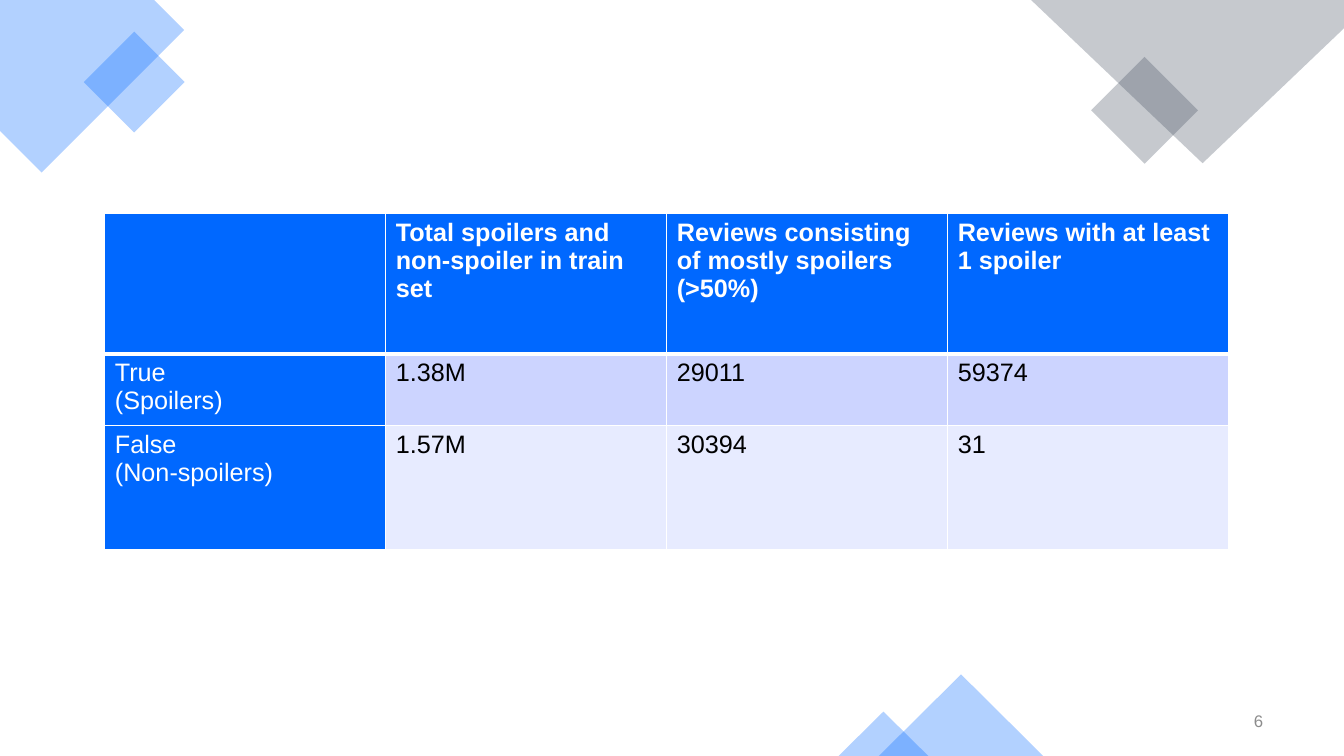
from lxml.etree import SubElement
from pptx import Presentation
from pptx.dml.color import RGBColor
from pptx.enum.shapes import MSO_SHAPE
from pptx.enum.text import MSO_ANCHOR, PP_ALIGN
from pptx.oxml.ns import qn
from pptx.util import Pt

BLUE, GREY, WHITE, BLACK = "0068FF", "434E5E", "FFFFFF", "000000"
FONT = "Arial"

ROWS = [
    ["", "Total spoilers and \nnon-spoiler in train set",
     "Reviews consisting of mostly spoilers (>50%)",
     "Reviews with at least 1 spoiler"],
    ["True\n(Spoilers)", "1.38M", "29011", "59374"],
    ["False\n(Non-spoilers)", "1.57M", "30394", "31"],
]
BANDS = [BLUE, "CCD4FF", "E7EBFF"]
HEIGHTS = [100.1, 51.1, 88.6]
LEFT, TOP, COL = 74.9, 152.6, 200.7

# Corner outlines: colour, points
CORNERS = [
    (BLUE, [(0, 0), (110, 0), (131.5, 21.5), (29.75, 123.25), (0, 93.5)]),
    (GREY, [(960, 0), (736.5, 0), (859, 116.6), (960, 20.2)]),
]
# Preset shapes: kind, colour, rotation, left, top, width, height
ACCENTS = [
    (MSO_SHAPE.RECTANGLE, BLUE, 315, 70.4, 33.1, 51, 51),
    (MSO_SHAPE.RECTANGLE, GREY, 315, 790.6, 51.8, 54, 54),
    (MSO_SHAPE.ISOSCELES_TRIANGLE, BLUE, 0, 627.8, 481.7, 117.4, 58.3),
    (MSO_SHAPE.ISOSCELES_TRIANGLE, BLUE, 0, 599, 508.3, 64.1, 31.7),
]


def paint(fill, color):
    fill.solid()
    fill.fore_color.rgb = RGBColor.from_string(color)


def tint(shape, color):
    """Give a shape a 30 % opaque fill with no line or shadow."""
    paint(shape.fill, color)
    shape.line.fill.background()
    shape.shadow.inherit = False
    rgb = shape.element.spPr.find(".//" + qn("a:srgbClr"))
    SubElement(rgb, qn("a:alpha"), val="30000")


def write(para, text, size, color, bold=False):
    para.text = text
    font = para.font
    font.name, font.size, font.bold = FONT, Pt(size), bold
    font.color.rgb = RGBColor.from_string(color)


def edge(cell, row):
    """Draw white borders, thicker under the header row."""
    props = cell._tc.get_or_add_tcPr()
    wide = {"lnB": row == 0, "lnT": row == 1}
    for side in ("lnL", "lnR", "lnT", "lnB"):
        width = Pt(3 if wide.get(side) else 1)
        line = SubElement(props, qn("a:" + side), w=str(width))
        solid = SubElement(line, qn("a:solidFill"))
        SubElement(solid, qn("a:srgbClr"), val=WHITE)


def add_grid(shapes):
    count = len(ROWS[0])
    grid = shapes.add_table(len(ROWS), count, Pt(LEFT), Pt(TOP),
                            Pt(COL * count), Pt(sum(HEIGHTS))).table
    for col in grid.columns:
        col.width = Pt(COL)
    for r, texts in enumerate(ROWS):
        grid.rows[r].height = Pt(HEIGHTS[r])
        for c, text in enumerate(texts):
            cell = grid.cell(r, c)
            head = r == 0 or c == 0
            edge(cell, r)
            paint(cell.fill, BLUE if head else BANDS[r])
            write(cell.text_frame.paragraphs[0], text, 18,
                  WHITE if head else BLACK, r == 0)


def add_number(shapes):
    frame = shapes.add_textbox(Pt(693.4), Pt(500.4), Pt(216), Pt(28.8)).text_frame
    frame.word_wrap = True
    frame.vertical_anchor = MSO_ANCHOR.MIDDLE
    para = frame.paragraphs[0]
    para.alignment = PP_ALIGN.RIGHT
    para.space_after = Pt(6)
    write(para, "6", 12, "8C8C8C")


def main():
    deck = Presentation()
    deck.slide_width, deck.slide_height = Pt(960), Pt(540)
    slide = deck.slides.add_slide(deck.slide_layouts[6])
    paint(slide.background.fill, WHITE)
    shapes = slide.shapes
    for color, points in CORNERS:
        spots = [(Pt(x), Pt(y)) for x, y in points]
        path = shapes.build_freeform(*spots[0])
        path.add_line_segments(spots[1:])
        tint(path.convert_to_shape(), color)
    for kind, color, turn, *box in ACCENTS:
        shape = shapes.add_shape(kind, *map(Pt, box))
        shape.rotation = turn
        tint(shape, color)
    add_number(shapes)
    add_grid(shapes)
    deck.save("out.pptx")


if __name__ == "__main__":
    main()
